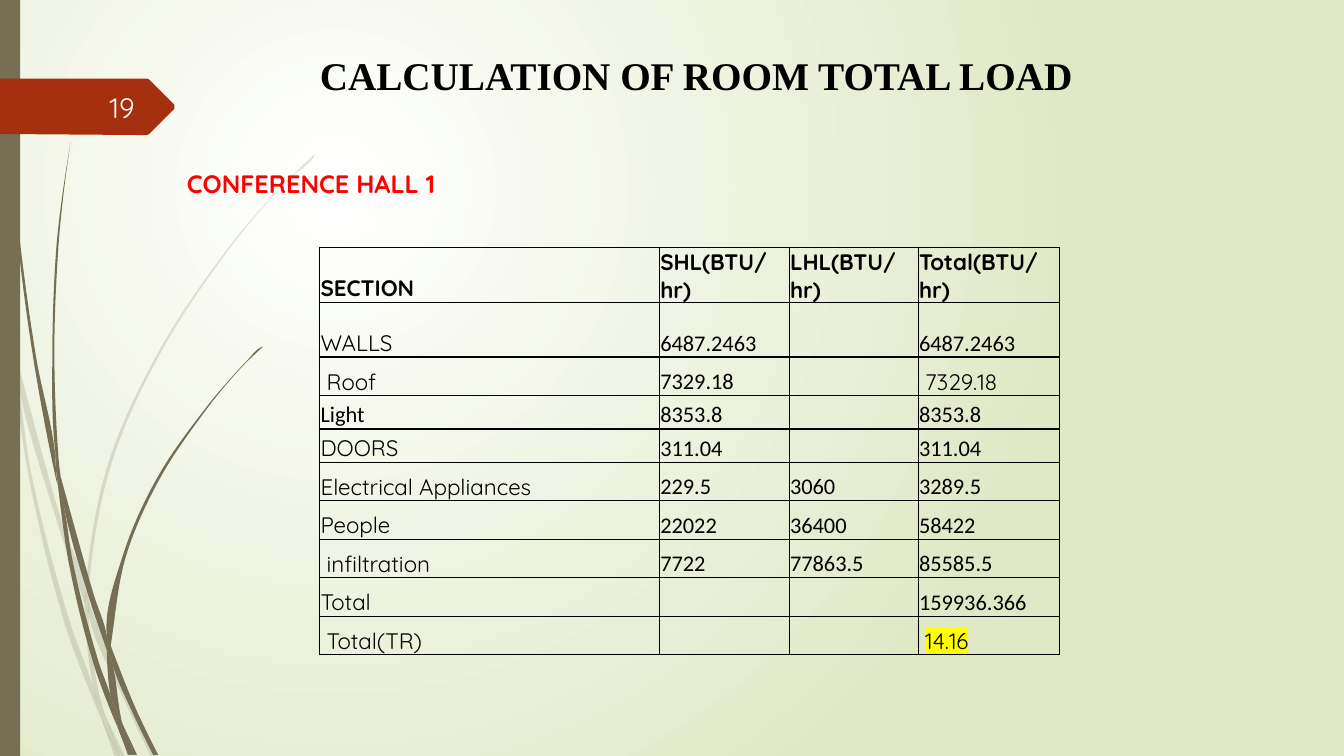
import math
import lxml.etree
import pptx
import pptx.dml.color
import pptx.enum.text
import pptx.enum.shapes
import pptx.oxml.ns
import pptx.util

Cm = pptx.util.Cm
Pt = pptx.util.Pt
qn = pptx.oxml.ns.qn
SHAPE = pptx.enum.shapes.MSO_SHAPE
ALIGN = pptx.enum.text.PP_ALIGN
ANCHOR = pptx.enum.text.MSO_ANCHOR

OLIVE, RUST, BLACK = "766F54", "A53010", "000000"
NBSP = "\u00a0"
TITLE = "CALCULATION OF ROOM TOTAL LOAD"
ROOM = "CONFERENCE HALL 1"
PAGE = "19"
LOADS = [
    ("SECTION", "SHL(BTU/hr)", "LHL(BTU/hr)", "Total(BTU/hr)"),
    ("WALLS", "6487.2463", "", "6487.2463"),
    (NBSP + "Roof", "7329.18", "", NBSP + "7329.18"),
    ("Light", "8353.8", "", "8353.8"),
    ("DOORS", "311.04", "", "311.04"),
    ("Electrical Appliances", "229.5", "3060", "3289.5"),
    ("People", "22022", "36400", "58422"),
    (NBSP + "infiltration", "7722", "77863.5", "85585.5"),
    ("Total", "", "", "159936.366"),
    (NBSP + "Total(TR)", "", "", NBSP + "14.16"),
]
MARKED = {"14.16": "FFFF00"}
COLUMNS = [8.56, 3.27, 3.25, 3.56]
ROWS = [1.38, 1.38, 0.97, 0.84, 0.84] + [0.97] * 5
GRID = 0.0254
PALE_BLADES = [
    [11, 350, 9, 322, 0, 282, 0, 299, 10, 344],
    [58, 522, 84, 599, 85, 586, 62, 520, 14, 345, 17, 376],
    [92, 607, 88, 596, 88, 610, 123, 694, 150, 751, 155, 751, 127, 692],
    [119, 751, 124, 751, 105, 711],
    [93, 683, 70, 619, 31, 469, 17, 376, 11, 350, 28, 470, 65, 621, 92, 693, 101, 714, 99, 707],
    [84, 599, 87, 646, 93, 683, 96, 692, 105, 711, 103, 706, 91, 646, 88, 610, 88, 608],
    [88, 584, 110, 462, 160, 349, 229, 245, 268, 198, 290, 175, 312, 154, 312, 153,
     289, 175, 268, 197, 228, 244, 158, 348, 107, 461, 85, 584, 85, 586, 88, 596],
    [101, 714, 114, 751, 119, 751],
    [88, 608, 88, 610, 88, 596, 85, 586, 84, 599],
    [96, 692, 93, 683, 99, 707, 101, 714, 119, 751, 105, 711],
]
DARK_BLADES = [
    [7, 110, 17, 233, 33, 355, 56, 477, 57, 481, 55, 457, 55, 453, 36, 355, 19, 232,
     8, 109, 5, 48, 4, 0, 3, 0, 4, 48],
    [88, 592, 106, 645, 106, 633, 106, 631, 93, 590, 60, 472, 64, 505],
    [113, 649, 110, 641, 111, 656, 132, 708, 152, 749, 157, 749, 136, 706],
    [110, 691, 98, 657, 72, 556, 64, 505, 57, 477, 68, 557, 93, 659, 111, 708, 117, 722, 116, 717],
    [60, 472, 58, 453, 54, 349, 58, 245, 63, 193, 70, 141, 62, 193, 56, 245, 52, 349, 55, 449],
    [133, 749, 136, 749, 122, 719],
    [57, 477, 64, 505, 60, 472, 55, 449, 55, 453],
    [111, 633, 125, 552, 158, 476, 205, 406, 231, 374, 245, 359, 261, 344, 260, 344,
     245, 358, 231, 373, 204, 405, 156, 474, 122, 551, 106, 631, 110, 641],
    [117, 722, 127, 749, 131, 749],
    [106, 645, 110, 691, 116, 706, 122, 719, 121, 716, 111, 656, 109, 651],
    [106, 645, 109, 651, 111, 656, 110, 641, 106, 631, 106, 633],
    [116, 706, 110, 691, 116, 717, 117, 722, 130, 749, 133, 749, 122, 719],
]
PAGE_TAG = [173, 108, 148, 133, 146, 134, 136, 134, 0, 133, 0, 78, 136, 78, 146, 78,
            148, 79, 173, 104]


def rgb(value):
    """Turn a hex string into a colour."""
    return pptx.dml.color.RGBColor.from_string(value)


def paint(shape, color):
    """Give a shape a plain fill with no line or shadow."""
    shape.shadow.inherit = False
    shape.fill.solid()
    shape.fill.fore_color.rgb = rgb(color)
    shape.line.fill.background()


def add_run(p, text, color, **font):
    """Add a formatted run to a paragraph."""
    r = p.add_run()
    r.text = text
    r.font.color.rgb = rgb(color)
    for name, value in font.items():
        setattr(r.font, name, value)
    return r


def add_label(text, box, align, anchor, color, **font):
    """Add a one-line text box."""
    tf = s.shapes.add_textbox(*map(Cm, box)).text_frame
    tf.word_wrap = True
    tf.vertical_anchor = anchor
    tf.paragraphs[0].alignment = align
    add_run(tf.paragraphs[0], text, color, **font)


def tangent(before, at, after):
    """Return the unit direction at a knot, or zero at a sharp corner."""
    ax, ay = at[0] - before[0], at[1] - before[1]
    bx, by = after[0] - at[0], after[1] - at[1]
    a, b = math.hypot(ax, ay), math.hypot(bx, by)
    if ax * bx + ay * by < 0.5 * a * b:
        return 0, 0
    x, y = ax / a + bx / b, ay / a + by / b
    return x / math.hypot(x, y), y / math.hypot(x, y)


def add_outline(shapes, points, color):
    """Draw a closed outline through grid points."""
    spots = [(Cm(x * GRID), Cm(y * GRID)) for x, y in points]
    builder = shapes.build_freeform(*spots[0])
    builder.add_line_segments(spots[1:])
    outline = builder.convert_to_shape()
    paint(outline, color)
    return outline


def add_blade(shapes, flat, alpha):
    """Draw a piece of grass with smooth sides and sharp tips."""
    knots = list(zip(flat[::2], flat[1::2]))
    n = len(knots)
    aims = [tangent(knots[i - 1], knots[i], knots[(i + 1) % n]) for i in range(n)]
    points = [knots[0]]
    for i, (x, y) in enumerate(knots):
        j = (i + 1) % n
        u, v = knots[j]
        reach = math.hypot(u - x, v - y) / 3
        points += [(x + reach * aims[i][0], y + reach * aims[i][1]),
                   (u - reach * aims[j][0], v - reach * aims[j][1]), (u, v)]
    blade = add_outline(shapes, points, OLIVE)
    lines = list(blade._element.iter(qn("a:lnTo")))
    for i in range(0, len(lines), 3):
        curve = lxml.etree.Element(qn("a:cubicBezTo"))
        lines[i].addprevious(curve)
        for line in lines[i:i + 3]:
            curve.append(line[0])
            line.getparent().remove(line)
    fill = blade._element.spPr.find(qn("a:solidFill"))
    lxml.etree.SubElement(fill[0], qn("a:alpha"), val=str(alpha * 1000))


def add_borders(cell, color):
    """Rule all four sides of a table cell."""
    tc_pr = cell._tc.get_or_add_tcPr()
    for i, side in enumerate(("lnL", "lnR", "lnT", "lnB")):
        ln = lxml.etree.Element(qn("a:" + side), w=str(Pt(1)))
        fill = lxml.etree.SubElement(ln, qn("a:solidFill"))
        lxml.etree.SubElement(fill, qn("a:srgbClr"), val=color)
        tc_pr.insert(i, ln)


def fill_cell(cell, text, row, col):
    """Format one table cell and write its text."""
    layout = {"margin_left": Cm(0.02), "margin_right": Cm(0.02), "margin_top": Cm(0.02),
              "margin_bottom": 0, "vertical_anchor": ANCHOR.BOTTOM}
    for name, value in layout.items():
        setattr(cell, name, value)
    cell.fill.background()
    add_borders(cell, BLACK)
    label = row == 0 or (col == 0 and text != "Light")
    font = {"size": Pt(16), "bold": row == 0,
            "name": "Quicksand" if label or text.startswith(NBSP) else "Calibri"}
    p = cell.text_frame.paragraphs[0]
    word = text.lstrip(NBSP)
    if word in MARKED:
        add_run(p, NBSP, BLACK, **font)
        r_pr = add_run(p, word, BLACK, **font)._r.rPr
        mark = lxml.etree.Element(qn("a:highlight"))
        lxml.etree.SubElement(mark, qn("a:srgbClr"), val=MARKED[word])
        r_pr.find(qn("a:solidFill")).addnext(mark)
    elif text:
        add_run(p, text, BLACK, **font)


prs = pptx.Presentation()
prs.slide_width, prs.slide_height = Cm(33.87), Cm(19.05)
s = prs.slides.add_slide(prs.slide_layouts[5])

backdrop = s.background.fill
backdrop.gradient()
for stop, color in zip(backdrop.gradient_stops, ("FFFFFF", "DFE8C4")):
    stop.color.rgb = rgb(color)
grad = s._element.find(".//" + qn("a:gradFill"))
grad.remove(grad.find(qn("a:lin")))
glow = lxml.etree.SubElement(grad, qn("a:path"), path="circle")
lxml.etree.SubElement(glow, qn("a:fillToRect"), l="50000", t="50000", r="100000", b="100000")

for blades, alpha in ((PALE_BLADES, 20), (DARK_BLADES, 100)):
    tuft = s.shapes.add_group_shape()
    for flat in blades:
        add_blade(tuft.shapes, flat, alpha)

paint(s.shapes.add_shape(SHAPE.RECTANGLE, 0, 0, Cm(0.51), prs.slide_height), OLIVE)
add_outline(s.shapes, list(zip(PAGE_TAG[::2], PAGE_TAG[1::2])), RUST)

title = s.shapes.title
s.shapes._spTree.append(title._element)
title.left, title.top, title.width, title.height = map(Cm, (3.2, 0.48, 28.68, 2.97))
title.text_frame.vertical_anchor = ANCHOR.MIDDLE
p = title.text_frame.paragraphs[0]
p.alignment, p.line_spacing = ALIGN.CENTER, 0.9
add_run(p, TITLE, BLACK, size=Pt(28), name="Times New Roman", bold=True)

add_label(ROOM, (4.46, 4.11, 7.32, 1.02), ALIGN.LEFT, ANCHOR.TOP, "FF0000",
          size=Pt(18), name="Quicksand", bold=True)

frame = s.shapes.add_table(len(ROWS), len(COLUMNS), Cm(8.06), Cm(6.24),
                           Cm(sum(COLUMNS)), Cm(sum(ROWS)))
table = frame.table
table.first_row = table.horz_banding = False
for column, width in zip(table.columns, COLUMNS):
    column.width = Cm(width)
for row, height in zip(table.rows, ROWS):
    row.height = Cm(height)
for i, values in enumerate(LOADS):
    for j, text in enumerate(values):
        fill_cell(table.cell(i, j), text, i, j)

add_label(PAGE, (1.48, 2.2, 2.16, 1.02), ALIGN.RIGHT, ANCHOR.MIDDLE, "FEFFFF",
          size=Pt(20), name="Quicksand")

prs.save("out.pptx")
